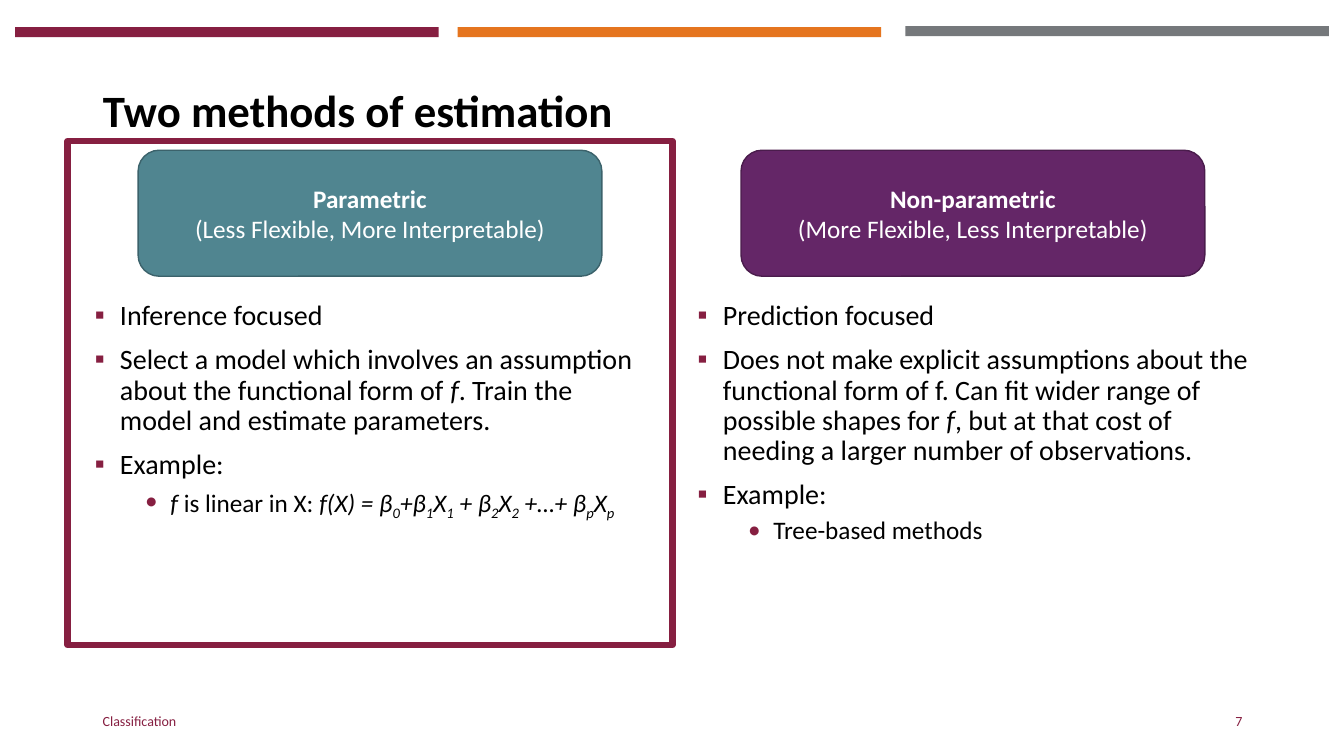
"""Build the slide comparing parametric and non-parametric estimation."""
from lxml import etree
from pptx import Presentation
from pptx.dml.color import RGBColor
from pptx.enum.shapes import MSO_SHAPE as Shape
from pptx.enum.text import MSO_ANCHOR as Anchor, MSO_AUTO_SIZE as AutoSize, PP_ALIGN as Align
from pptx.oxml.ns import qn
from pptx.util import Inches, Pt

FONT = "Calibri"
MAROON, BLACK, WHITE = "861F41", "000000", "FFFFFF"
TITLE = "Two methods of estimation"
BARS = [(0.15, 0.27, MAROON), (4.54, 0.27, "E5751F"), (8.98, 0.26, "75787B")]
FOOTERS = [("Classification", 0.92, 4.5, Align.LEFT), ("7", 9.42, 3, Align.RIGHT)]

FORMULA = [
    ("f ", "italic"), ("is linear in X: ", ""), ("f(X) = β", "italic"), ("0", "sub"),
    ("+β", "italic"), ("1", "sub"), ("X", "italic"), ("1", "sub"),
    (" + β", "italic"), ("2", "sub"), ("X", "italic"), ("2", "sub"),
    (" +…+ β", "italic"), ("p", "sub"), ("X", "italic"), ("p", "sub"),
]
METHODS = [
    {
        "name": "Parametric", "trait": "(Less Flexible, More Interpretable)",
        "fill": "508590", "line": "3B626B",
        "points": [
            (0, [("Inference focused", "")]),
            (0, [("Select a model which involves an assumption about the functional form of ", ""),
                 ("f", "italic"), (". Train the model and estimate parameters.", "")]),
            (0, [("Example:", "")]),
            (1, FORMULA),
        ],
    },
    {
        "name": "Non-parametric", "trait": "(More Flexible, Less Interpretable)",
        "fill": "642667", "line": "4A1C4C",
        "points": [
            (0, [("Prediction focused", "")]),
            (0, [("Does not make explicit assumptions about the functional form of f. "
                  "Can fit wider range of possible shapes for ", ""),
                 ("f", "italic"),
                 (", but at that cost of needing a larger number of observations.", "")]),
            (0, [("Example:", "")]),
            (1, [("Tree-based methods", "")]),
        ],
    },
]
LEVELS = [("▪", 0.25, 20, 10), ("•", 0.75, 18, 5)]
COLUMN_LEFT, COLUMN_STEP, COLUMN_WIDTH = 0.84, 5.98, 5.67
HEADER_INSET, HEADER_WIDTH = 0.53, 4.6


def color(hex_code):
    return RGBColor.from_string(hex_code)


def style(paragraph, size, hex_code, bold=False, align=Align.LEFT):
    paragraph.alignment = align
    font = paragraph.font
    font.name, font.size, font.bold = FONT, Pt(size), bold
    font.color.rgb = color(hex_code)


def place(item, left, top, width, height):
    item.left, item.top = Inches(left), Inches(top)
    item.width, item.height = Inches(width), Inches(height)


def add_block(slide, kind, box, fill=None, line=None, line_width=1):
    block = slide.shapes.add_shape(kind, *map(Inches, box))
    block.shadow.inherit = False
    if fill:
        block.fill.solid()
        block.fill.fore_color.rgb = color(fill)
    else:
        block.fill.background()
    if line:
        block.line.color.rgb = color(line)
        block.line.width = Pt(line_width)
    else:
        block.line.fill.background()
    return block


def add_bullet(paragraph, symbol, indent):
    props = paragraph._p.get_or_add_pPr()
    props.set("marL", str(Inches(indent)))
    props.set("indent", str(Inches(-0.25)))
    bullet_color = etree.SubElement(props, qn("a:buClr"))
    etree.SubElement(bullet_color, qn("a:srgbClr"), val=MAROON)
    etree.SubElement(props, qn("a:buFont"), typeface=FONT)
    etree.SubElement(props, qn("a:buChar"), char=symbol)


def fill_points(body, points):
    frame = body.text_frame
    frame.auto_size = AutoSize.NONE
    for number, (level, pieces) in enumerate(points):
        paragraph = frame.add_paragraph() if number else frame.paragraphs[0]
        symbol, indent, size, space = LEVELS[level]
        paragraph.level = level
        add_bullet(paragraph, symbol, indent)
        paragraph.line_spacing = 0.9
        paragraph.space_before = Pt(space if number else 0)
        style(paragraph, size, BLACK)
        for text, look in pieces:
            run = paragraph.add_run()
            run.text = text
            if look:
                run.font.italic = True
            if look == "sub":
                run._r.get_or_add_rPr().set("baseline", "-25000")


def add_header(slide, method, left):
    header = add_block(slide, Shape.ROUNDED_RECTANGLE, (left, 1.49, HEADER_WIDTH, 1.25),
                       method["fill"], method["line"])
    frame = header.text_frame
    frame.vertical_anchor = Anchor.MIDDLE
    frame.text = method["name"]
    frame.add_paragraph().text = method["trait"]
    for paragraph, bold in zip(frame.paragraphs, (True, False)):
        style(paragraph, 18, WHITE, bold, Align.CENTER)


def main():
    deck = Presentation()
    deck.slide_width, deck.slide_height = Inches(13.33), Inches(7.5)
    slide = deck.slides.add_slide(deck.slide_layouts.get_by_name("Two Content"))
    title, *bodies = slide.placeholders

    for left, top, fill in BARS:
        add_block(slide, Shape.RECTANGLE, (left, top, 4.2, 0.1), fill)

    place(title, 0.92, 0.4, 11.5, 1.45)
    title.text_frame.text = TITLE
    title.text_frame.auto_size = AutoSize.NONE
    title.text_frame.vertical_anchor = Anchor.MIDDLE
    heading = title.text_frame.paragraphs[0]
    heading.line_spacing = 0.9
    style(heading, 32, BLACK, bold=True)

    for column, (method, body) in enumerate(zip(METHODS, bodies)):
        left = COLUMN_LEFT + column * COLUMN_STEP
        place(body, left, 2.94, COLUMN_WIDTH, 3.6)
        fill_points(body, method["points"])
        add_header(slide, method, left + HEADER_INSET)

    for text, left, width, align in FOOTERS:
        footer = slide.shapes.add_textbox(*map(Inches, (left, 6.95, width, 0.4))).text_frame
        footer.word_wrap = True
        footer.vertical_anchor = Anchor.MIDDLE
        footer.text = text
        style(footer.paragraphs[0], 10, MAROON, align=align)

    add_block(slide, Shape.RECTANGLE, (0.67, 1.4, 6, 5), line=MAROON, line_width=4.5)
    deck.save("out.pptx")


if __name__ == "__main__":
    main()
